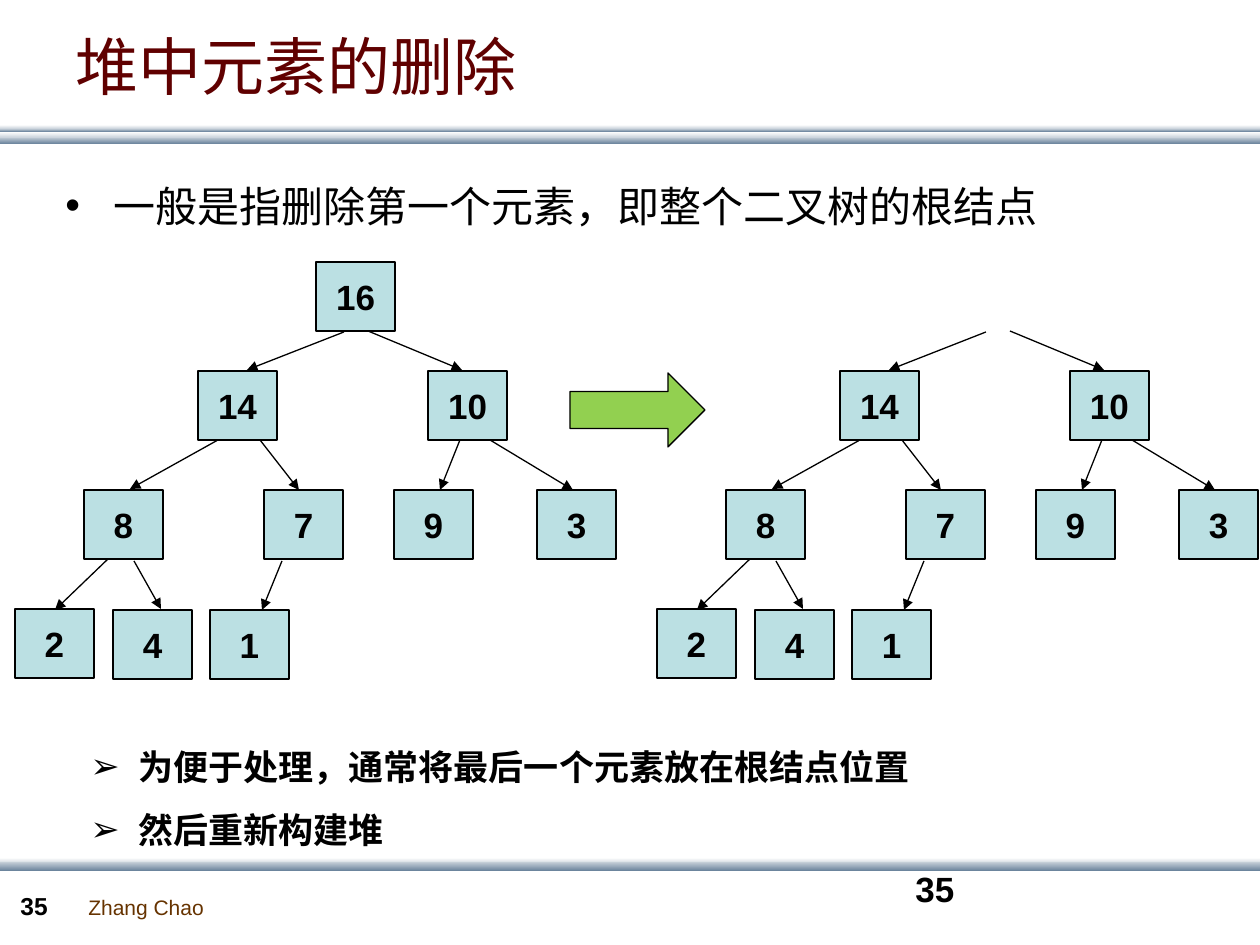
from lxml import etree
from pptx import Presentation
from pptx.dml.color import RGBColor
from pptx.enum.shapes import MSO_CONNECTOR, MSO_SHAPE
from pptx.enum.text import MSO_ANCHOR, MSO_AUTO_SIZE, PP_ALIGN
from pptx.oxml.ns import qn
from pptx.util import Inches, Pt

PX = 7257  # EMU per pixel, 126 pixels to the inch
RECTANGLE, RIGHT_ARROW = MSO_SHAPE.RECTANGLE, MSO_SHAPE.RIGHT_ARROW
STRAIGHT = MSO_CONNECTOR.STRAIGHT
TOP, MIDDLE = MSO_ANCHOR.TOP, MSO_ANCHOR.MIDDLE
LEFT, CENTER = PP_ALIGN.LEFT, PP_ALIGN.CENTER
LATIN, CHINESE = "Arial", "Noto Sans CJK SC"
BLACK, WHITE, MIST, STEEL = "000000", "FFFFFF", "C8D1DA", "6A839C"
color = RGBColor.from_string


def write(shape, *lines, size, font=LATIN, ink=BLACK, bold=False, align=LEFT,
          anchor=TOP, wrap=True, bullet=None, spacing=None):
    frame = shape.text_frame
    frame.word_wrap = wrap
    frame.auto_size = MSO_AUTO_SIZE.NONE
    frame.vertical_anchor = anchor
    for number, line in enumerate(lines):
        para = frame.add_paragraph() if number else frame.paragraphs[0]
        para.alignment = align
        if spacing:
            para.line_spacing = spacing
        if bullet:
            properties = para._p.get_or_add_pPr()
            properties.set("marL", str(48 * PX))
            properties.set("indent", str(-48 * PX))
            tint = etree.SubElement(properties, qn("a:buClr"))
            etree.SubElement(tint, qn("a:srgbClr"), val=BLACK)
            etree.SubElement(properties, qn("a:buFont"), typeface=LATIN)
            etree.SubElement(properties, qn("a:buChar"), char=bullet)
        span = para.add_run()
        span.text = line
        span.font.size = Pt(size)
        span.font.bold = bold
        span.font.color.rgb = color(ink)
        span.font.name = font
        etree.SubElement(span._r.get_or_add_rPr(), qn("a:ea"), typeface=font)


deck = Presentation()
deck.slide_width, deck.slide_height = Inches(10), Inches(7.5)
page = deck.slides.add_slide(deck.slide_layouts[5])
shapes = page.shapes

# Gradient rules above and below the content
for top, height, start, end in [
    (137, 7, MIST, STEEL), (129, 3, MIST, STEEL), (132, 6, WHITE, MIST),
    (125, 4, WHITE, MIST), (858, 6, WHITE, MIST), (862, 9, MIST, STEEL),
]:
    bar = shapes.add_shape(RECTANGLE, 0, top * PX, 1261 * PX, height * PX)
    bar.shadow.inherit = False
    bar.line.fill.background()
    bar.fill.gradient()
    bar.fill.gradient_angle = 270
    for stop, position, tone in zip(bar.fill.gradient_stops, (0, 1), (start, end)):
        stop.position = position
        stop.color.rgb = color(tone)

# Title
title = shapes.title
title.left, title.top, title.width, title.height = 63 * PX, -14 * PX, 1134 * PX, 158 * PX
write(title, "堆中元素的删除", size=36, font=CHINESE, ink="600000", anchor=MIDDLE)

# Body text, footer and page numbers
for left, top, width, height, lines, style in [
    (53, 174, 1143, 635, ["一般是指删除第一个元素，即整个二叉树的根结点"],
     dict(size=24, font=CHINESE, bullet="•")),
    (78, 718, 1009, 139, ["为便于处理，通常将最后一个元素放在根结点位置", "然后重新构建堆"],
     dict(size=20, font=CHINESE, bold=True, bullet="➢", spacing=1.5)),
    (76, 888, 140, 38, ["Zhang Chao"], dict(size=12, ink="663300", wrap=False)),
    (8, 885, 69, 43, ["35"], dict(size=14, bold=True)),
    (903, 861, 294, 63, ["35"], dict(size=20, bold=True)),
]:
    box = shapes.add_textbox(left * PX, top * PX, width * PX, height * PX)
    write(box, *lines, **style)

# Heap before and after the root is removed
nodes = [
    ("16", 316, 262), ("14", 198, 371), ("10", 428, 371),
    ("8", 84, 490), ("7", 264, 490), ("9", 394, 490), ("3", 537, 490),
    ("2", 15, 609), ("4", 113, 610), ("1", 210, 610),
]
edges = [
    (344, 332, 247, 370), (368, 331, 462, 370),
    (218, 440, 130, 489), (260, 440, 299, 490),
    (460, 440, 440, 490), (490, 440, 573, 490),
    (108, 559, 55, 610), (134, 561, 161, 609), (282, 561, 262, 610),
]
for shift, tree_nodes in [(0, nodes), (642, nodes[1:])]:
    tree = shapes.add_group_shape().shapes
    for label, left, top in tree_nodes:
        node = tree.add_shape(RECTANGLE, (left + shift) * PX, top * PX, 79 * PX, 69 * PX)
        node.shadow.inherit = False
        node.fill.solid()
        node.fill.fore_color.rgb = color("BBE0E3")
        node.line.color.rgb = color(BLACK)
        node.line.width = Pt(0.75)
        write(node, label, size=20, bold=True, align=CENTER, anchor=MIDDLE, wrap=False)
    for x1, y1, x2, y2 in edges:
        edge = tree.add_connector(
            STRAIGHT, (x1 + shift) * PX, y1 * PX, (x2 + shift) * PX, y2 * PX)
        edge.line.color.rgb = color(BLACK)
        edge.line.width = Pt(0.75)
        etree.SubElement(edge.line._get_or_add_ln(), qn("a:tailEnd"), type="triangle")
        etree.SubElement(edge._element.spPr, qn("a:effectLst"))

# Arrow between the two heaps
arrow = shapes.add_shape(RIGHT_ARROW, 570 * PX, 373 * PX, 135 * PX, 74 * PX)
arrow.shadow.inherit = False
arrow.fill.solid()
arrow.fill.fore_color.rgb = color("92D050")
arrow.line.color.rgb = color(BLACK)
arrow.line.width = Pt(0.75)

deck.save("out.pptx")
